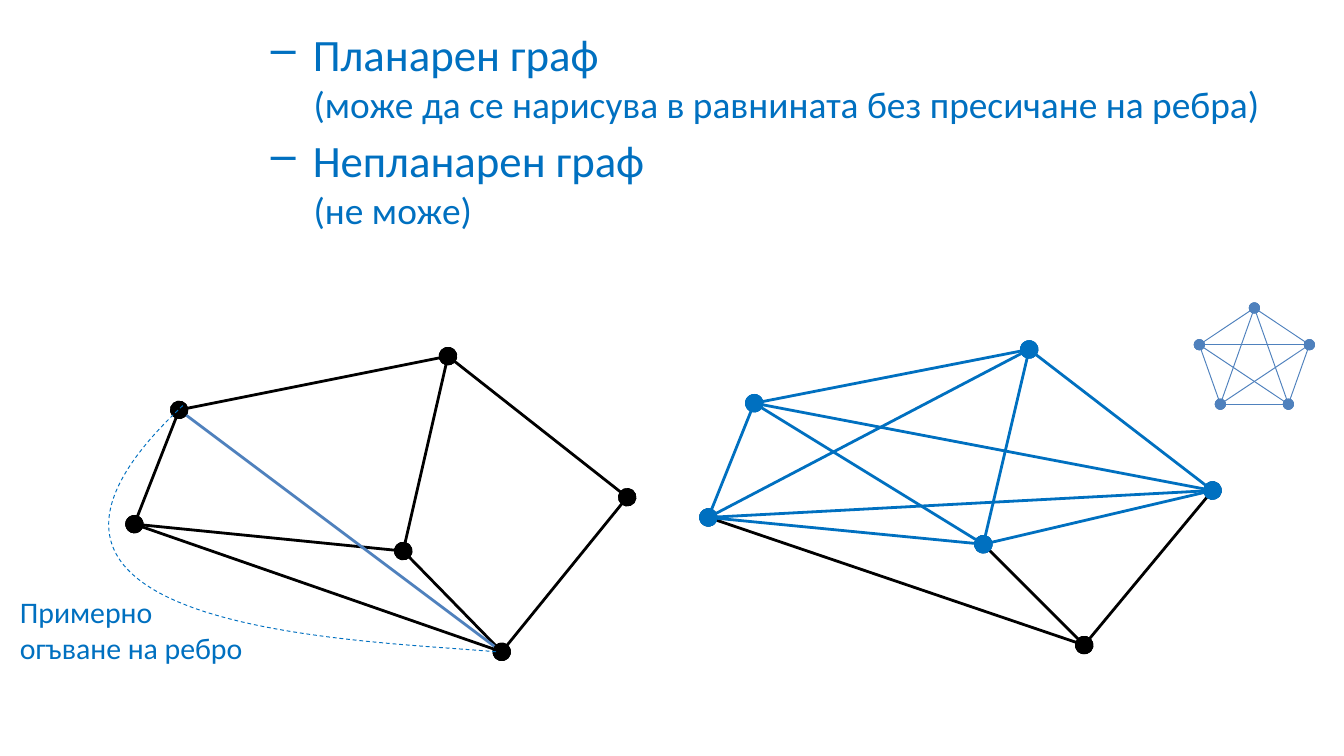
"""Build a slide that contrasts a planar graph with a nonplanar one."""
from dataclasses import dataclass
from itertools import combinations
from math import cos, pi, sin

from lxml import etree
from pptx import Presentation
from pptx.dml.color import RGBColor
from pptx.enum.dml import MSO_LINE
from pptx.enum.shapes import MSO_CONNECTOR
from pptx.enum.text import MSO_ANCHOR, PP_ALIGN
from pptx.oxml.ns import qn
from pptx.util import Pt

STRAIGHT = MSO_CONNECTOR.STRAIGHT
DASH = MSO_LINE.DASH
TOP = MSO_ANCHOR.TOP
LEFT = PP_ALIGN.LEFT


@dataclass(frozen=True)
class Theme:
    font: str = "Calibri"
    black: str = "000000"
    blue: str = "0070C0"
    accent: str = "4F81BD"
    heading: float = 24
    detail: float = 20
    label: float = 16
    thick: float = 1.5
    thin: float = 0.5


class GraphSlide:
    def __init__(self, slide, theme):
        self.slide = slide
        self.theme = theme

    def text(self, box, paragraphs):
        shape = self.slide.shapes.add_textbox(*(Pt(length) for length in box))
        frame = shape.text_frame
        frame.word_wrap = True
        frame.vertical_anchor = TOP
        for index, (words, size, level, margin, bullet) in enumerate(paragraphs):
            paragraph = frame.paragraphs[0] if index == 0 else frame.add_paragraph()
            formats = {"level": level, "alignment": LEFT,
                       "space_before": Pt(4 if bullet else 0)}
            for name, value in formats.items():
                setattr(paragraph, name, value)
            run = paragraph.add_run()
            run.text = words
            for name, value in {"name": self.theme.font, "size": Pt(size)}.items():
                setattr(run.font, name, value)
            run.font.color.rgb = RGBColor.from_string(self.theme.blue)
            properties = paragraph._p.get_or_add_pPr()
            properties.set("marL", str(Pt(margin)))
            properties.set("indent", str(Pt(-22.5 if bullet else 0)))
            if bullet:
                etree.SubElement(properties, qn("a:buChar")).set("char", bullet)
            else:
                etree.SubElement(properties, qn("a:buNone"))

    def edges(self, group, nodes, pairs, color, width, node_size=None):
        for start, end in pairs:
            points = (*nodes[start], *nodes[end])
            connector = group.shapes.add_connector(STRAIGHT, *(Pt(p) for p in points))
            connector.line.width = Pt(width)
            connector.line.color.rgb = RGBColor.from_string(color)
            if node_size:
                outline = connector.line._get_or_add_ln()
                for tag in ("a:headEnd", "a:tailEnd"):
                    node = etree.SubElement(outline, qn(tag))
                    for name, value in {"type": "oval", "w": node_size, "len": node_size}.items():
                        node.set(name, value)
            etree.SubElement(connector._element.spPr, qn("a:effectLst"))

    def dashed_curve(self, start, controls, end, left):
        builder = self.slide.shapes.build_freeform(Pt(start[0]), Pt(start[1]))
        corners = [(left, end[1]), end]
        builder.add_line_segments([(Pt(x), Pt(y)) for x, y in corners], close=False)
        shape = builder.convert_to_shape()
        shape.shadow.inherit = False
        shape.fill.background()
        for name, value in {"width": Pt(self.theme.thin), "dash_style": DASH}.items():
            setattr(shape.line, name, value)
        shape.line.color.rgb = RGBColor.from_string(self.theme.blue)
        segments = list(shape._element.iter(qn("a:lnTo")))
        outline = segments[0].getparent()
        for segment in segments:
            outline.remove(segment)
        curve = etree.SubElement(outline, qn("a:cubicBezTo"))
        for x, y in (*controls, end):
            point = etree.SubElement(curve, qn("a:pt"))
            point.set("x", str(Pt(x) - shape.left))
            point.set("y", str(Pt(y) - shape.top))

    def group(self):
        return self.slide.shapes.add_group_shape()


def main():
    theme = Theme()
    presentation = Presentation()
    presentation.slide_width = Pt(720)
    presentation.slide_height = Pt(405)
    page = GraphSlide(presentation.slides.add_slide(presentation.slide_layouts[6]), theme)

    page.text((102, 11, 618, 372), [
        ("Планарен граф", theme.heading, 1, 58.5, "–"),
        ("(може да се нарисува в равнината без пресичане на ребра)", theme.detail, 2, 59, None),
        ("Непланарен граф", theme.heading, 1, 58.5, "–"),
        ("(не може)", theme.detail, 2, 59, None),
    ])

    planar_nodes = {
        "west": (72, 280.8), "northwest": (96, 219.6), "north": (240, 190.8),
        "east": (336, 266.4), "south": (268.8, 349.2), "center": (216, 295.2),
    }
    planar_edges = [
        ("west", "center"), ("west", "south"), ("northwest", "north"),
        ("north", "center"), ("north", "east"), ("center", "south"),
        ("east", "south"), ("west", "northwest"),
    ]
    crossing_edge = [("northwest", "south")]
    planar = page.group()
    page.edges(planar, planar_nodes, planar_edges[:6], theme.black, theme.thick, "lg")
    page.edges(planar, planar_nodes, crossing_edge, theme.accent, theme.thick)
    page.edges(planar, planar_nodes, planar_edges[6:], theme.black, theme.thick, "lg")
    page.dashed_curve((265.7, 349.2), [(190.8, 342.7), (-32.4, 338.4)], (98.6, 216.7), 58.3)
    page.text((3.6, 314.6, 142.6, 46), [
        ("Примерно огъване на ребро", theme.label, 0, 0, None),
    ])

    nonplanar_nodes = {name: (379.5 + 1.023 * (x - 72), y - 3.6)
                       for name, (x, y) in planar_nodes.items()}
    clique = ["west", "northwest", "north", "center", "east"]
    outer_edges = [(name, "south") for name in ("west", "east", "center")]
    nonplanar = page.group()
    page.edges(nonplanar, nonplanar_nodes, outer_edges, theme.black, theme.thick, "lg")
    page.edges(nonplanar, nonplanar_nodes, combinations(clique, 2),
               theme.blue, theme.thick, "lg")

    turns = [2 * pi * corner / 5 for corner in range(5)]
    pentagon_nodes = [(672 + 31 * sin(turn), 193.5 - 28.5 * cos(turn)) for turn in turns]
    page.edges(page.group(), pentagon_nodes, combinations(range(5), 2),
               theme.accent, theme.thin, "med")

    presentation.save("out.pptx")


main()
